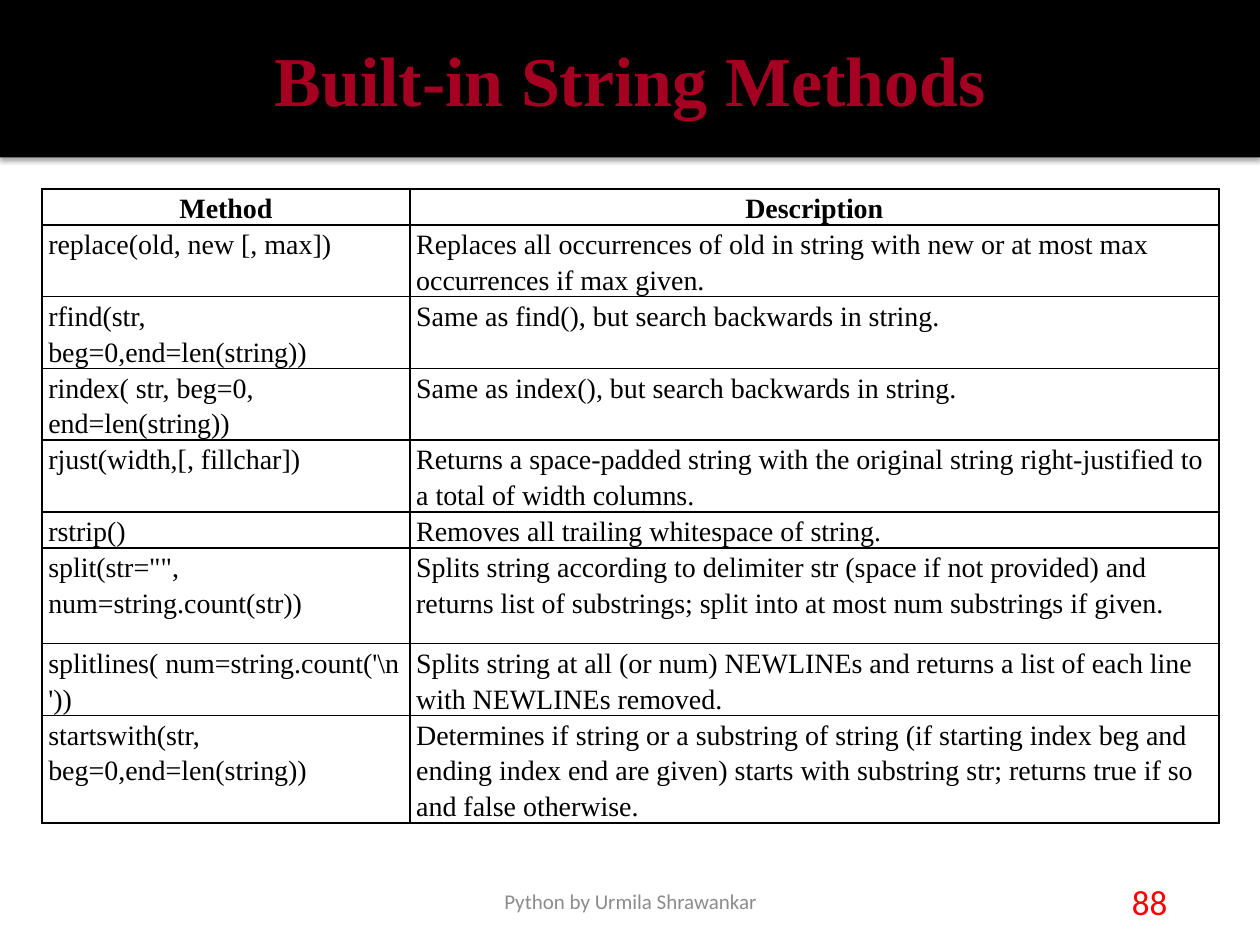
from lxml import etree
from pptx import Presentation
from pptx import util as u
from pptx.dml.color import RGBColor
from pptx.enum import text
from pptx.oxml.ns import qn

SERIF, SANS = "Times New Roman", "Calibri"
MID, LEFT = text.PP_ALIGN.CENTER, text.PP_ALIGN.LEFT
WIDE, HIGH = 10, 7.5
LINE = 0.285  # height of one table text line, inches

# Method, description, row height in text lines
ROWS = [
    ("Method", "Description", 1),
    ("replace(old, new [, max])",
     "Replaces all occurrences of old in string with new or at most max "
     "occurrences if max given.", 2),
    ("rfind(str, beg=0,end=len(string))",
     "Same as find(), but search backwards in string.", 2),
    ("rindex( str, beg=0, end=len(string))",
     "Same as index(), but search backwards in string.", 2),
    ("rjust(width,[, fillchar])",
     "Returns a space-padded string with the original string "
     "right-justified to a total of width columns.", 2),
    ("rstrip()", "Removes all trailing whitespace of string.", 1),
    ('split(str="", num=string.count(str))',
     "Splits string according to delimiter str (space if not provided) and "
     "returns list of substrings; split into at most num substrings if "
     "given.", 2.67),
    ("splitlines( num=string.count('\\n'))",
     "Splits string at all (or num) NEWLINEs and returns a list of each "
     "line with NEWLINEs removed.", 2),
    ("startswith(str, beg=0,end=len(string))",
     "Determines if string or a substring of string (if starting index beg "
     "and ending index end are given) starts with substring str; returns "
     "true if so and false otherwise.", 3),
]


def rgb(code):
    return RGBColor.from_string(code)


def sub(node, tag, **attrs):
    return etree.SubElement(node, qn(tag), attrs)


class Deck:
    """Holds the style and the current slide; lengths are slide shares."""

    def __init__(self):
        self.prs = Presentation()
        self.prs.slide_width = u.Inches(WIDE)
        self.prs.slide_height = u.Inches(HIGH)
        self.slide = self.prs.slides.add_slide(self.prs.slide_layouts[5])

    def box(self, x, y, w, h):
        wide, high = self.prs.slide_width, self.prs.slide_height
        return [round(v) for v in (x * wide, y * high, w * wide, h * high)]

    def put(self, frame, words, size, font, color, bold=False, align=MID):
        frame.word_wrap = True
        par = frame.paragraphs[0]
        par.alignment = align
        run = par.add_run()
        run.text = words
        run.font.size, run.font.name = u.Pt(size), font
        run.font.bold, run.font.color.rgb = bold, rgb(color)
        return par

    def title(self, words, *area):
        shape = self.slide.shapes.title
        shape.left, shape.top, shape.width, shape.height = self.box(*area)
        shape.fill.solid()
        shape.fill.fore_color.rgb = rgb("000000")
        # Soft shadow under the band
        glow = sub(sub(shape._element.spPr, "a:effectLst"), "a:outerShdw",
                   blurRad=str(u.Pt(3.1)), dist=str(u.Pt(1.8)),
                   dir="5400000", rotWithShape="0")
        sub(sub(glow, "a:srgbClr", val="000000"), "a:alpha", val="35000")
        shape.text_frame.vertical_anchor = text.MSO_ANCHOR.MIDDLE
        self.put(shape.text_frame, words, 40, SERIF, "A50021", True)

    def label(self, words, size, color, *area):
        frame = self.slide.shapes.add_textbox(*self.box(*area)).text_frame
        frame.vertical_anchor = text.MSO_ANCHOR.MIDDLE
        self.put(frame, words, size, SANS, color)

    def edge(self, cell):
        props = cell._tc.get_or_add_tcPr()
        for spot, side in enumerate("LRTB"):
            line = etree.Element(qn("a:ln" + side), w=str(u.Pt(1)))
            sub(sub(line, "a:solidFill"), "a:srgbClr", val="000000")
            props.insert(spot, line)

    def table(self, rows, cols, x, y):
        high = sum(row[-1] for row in rows) * LINE / HIGH
        area = self.box(x, y, sum(cols), high)
        grid = self.slide.shapes.add_table(len(rows), len(cols), *area).table
        grid.horz_banding = False
        for col, share in zip(grid.columns, cols):
            col.width = round(share * self.prs.slide_width)
        for r, (*cells, lines) in enumerate(rows):
            grid.rows[r].height = u.Inches(lines * LINE)
            for c, words in enumerate(cells):
                self.cell(grid.cell(r, c), words, r == 0)

    def cell(self, cell, words, head):
        cell.margin_left = cell.margin_right = u.Inches(0.05)
        cell.margin_top = cell.margin_bottom = 0
        cell.fill.background()
        self.edge(cell)
        par = self.put(cell.text_frame, words, 16, SERIF, "000000",
                       head, MID if head else LEFT)
        par.line_spacing = 1.15


def main():
    deck = Deck()
    # Title band
    deck.title("Built-in String Methods", 0, 0, 1, 1 / 6)
    # Method table
    deck.table(ROWS, (0.292, 0.642), 1 / 30, 0.2)
    # Footer and page number
    deck.label("Python by Urmila Shrawankar", 12, "8C8C8C",
               0.342, 0.927, 0.317, 0.053)
    deck.label("88", 20, "FF0000", 0.875, 0.927, 0.075, 0.053)
    deck.prs.save("out.pptx")


if __name__ == "__main__":
    main()
